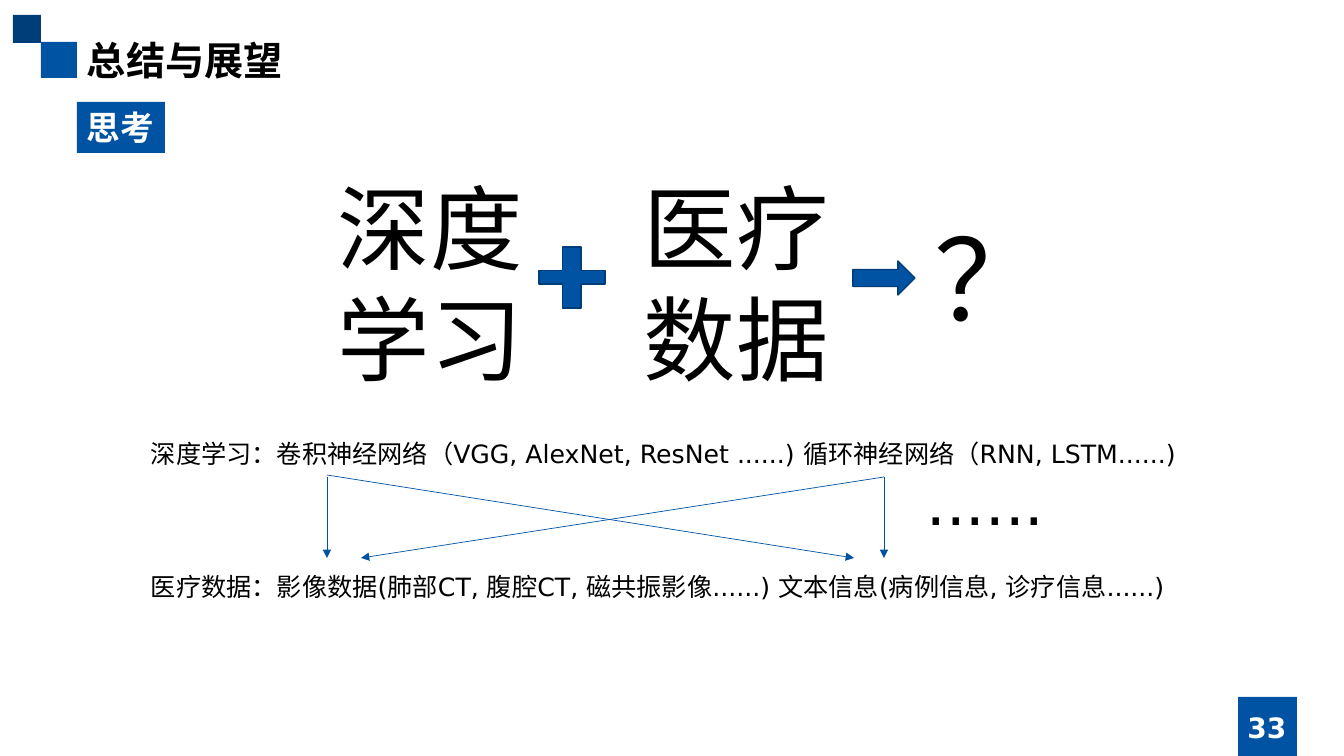
"""Build the summary slide on combining deep learning with medical data."""
from dataclasses import dataclass

from lxml import etree
from pptx import Presentation
from pptx import util as u
from pptx.dml.color import RGBColor
from pptx.enum import shapes, text
from pptx.oxml.ns import qn


@dataclass(frozen=True)
class Theme:
    blue: RGBColor = RGBColor(0x00, 0x53, 0xA3)
    navy: RGBColor = RGBColor(0x00, 0x3E, 0x7A)
    edge: RGBColor = RGBColor(0x00, 0x3D, 0x79)
    black: RGBColor = RGBColor(0, 0, 0)
    white: RGBColor = RGBColor(0xFF, 0xFF, 0xFF)
    body_font: str = "DejaVu Sans"
    title_font: str = "Noto Sans CJK SC"
    title: int = 28
    tag: int = 24
    page: int = 20
    body: int = 18
    term: int = 66
    question: int = 80
    dots: int = 44


theme = Theme()
PX = 914400 / 100.8
MIDDLE = text.MSO_ANCHOR.MIDDLE
KIND = shapes.MSO_SHAPE


def px(*lengths):
    return [u.Emu(round(length * PX)) for length in lengths]


def write(words, box, size, color=theme.black, font=theme.body_font, bold=False,
          wrap=True, align=text.PP_ALIGN.LEFT, anchor=text.MSO_ANCHOR.TOP):
    frame = slide.shapes.add_textbox(*px(*box)).text_frame
    frame.word_wrap = wrap
    frame.vertical_anchor = anchor
    paragraph = frame.paragraphs[0]
    paragraph.alignment = align
    run = paragraph.add_run()
    run.text = words
    run.font.size = u.Pt(size)
    run.font.bold = bold
    run.font.color.rgb = color
    run.font.name = font
    east_asian = etree.SubElement(run.font._element, qn("a:ea"))
    east_asian.set("typeface", font)


deck = Presentation()
deck.slide_width, deck.slide_height = px(1344, 756)
slide = deck.slides.add_slide(deck.slide_layouts[6])

for kind, box, fill, edge in (
    (KIND.RECTANGLE, (41, 42, 36, 36), theme.blue, None),
    (KIND.RECTANGLE, (13, 15, 28, 28), theme.navy, None),
    (KIND.RECTANGLE, (1238, 697, 59, 59), theme.blue, None),
    (KIND.RECTANGLE, (77, 102, 88, 51), theme.blue, None),
    (KIND.CROSS, (539, 247, 66, 61), theme.blue, theme.edge),
    (KIND.RIGHT_ARROW, (853, 261, 62, 34), theme.blue, theme.edge),
):
    block = slide.shapes.add_shape(kind, *px(*box))
    block.shadow.inherit = False
    block.fill.solid()
    block.fill.fore_color.rgb = fill
    if edge:
        block.line.color.rgb = edge
        block.line.width = u.Pt(1)
    else:
        block.line.fill.background()
    if kind == KIND.CROSS:
        block.adjustments[0] = 0.39

write("总结与展望", (77, 31, 862, 58), theme.title, font=theme.title_font,
      bold=True, anchor=MIDDLE)
write("思考", (77, 102, 88, 51), theme.tag, color=theme.white, bold=True, wrap=False)
write("33", (1190, 707, 154, 40), theme.page, color=theme.white, bold=True,
      align=text.PP_ALIGN.CENTER, anchor=MIDDLE)

write("深度学习", (328, 166, 278, 234), theme.term)
write("医疗数据", (634, 166, 220, 234), theme.term)
write("？", (925, 205, 220, 146), theme.question)

write("深度学习：卷积神经网络（VGG, AlexNet, ResNet ......) 循环神经网络（RNN, LSTM......)",
      (141, 433, 1095, 40), theme.body)
write("医疗数据：影像数据(肺部CT, 腹腔CT, 磁共振影像......) 文本信息(病例信息, 诊疗信息......)",
      (141, 566, 1095, 40), theme.body)
write("......", (917, 459, 156, 85), theme.dots, wrap=False)

for start_x, start_y, end_x in ((327, 477, 327), (327, 475, 854),
                                (884, 477, 884), (884, 477, 361)):
    link = slide.shapes.add_connector(shapes.MSO_CONNECTOR.STRAIGHT,
                                      *px(start_x, start_y, end_x, 558))
    link.line.color.rgb = theme.blue
    link.line.width = u.Pt(0.5)
    etree.SubElement(link.line._get_or_add_ln(), qn("a:tailEnd")).set("type", "triangle")
    etree.SubElement(link._element.spPr, qn("a:effectLst"))

deck.save("out.pptx")
